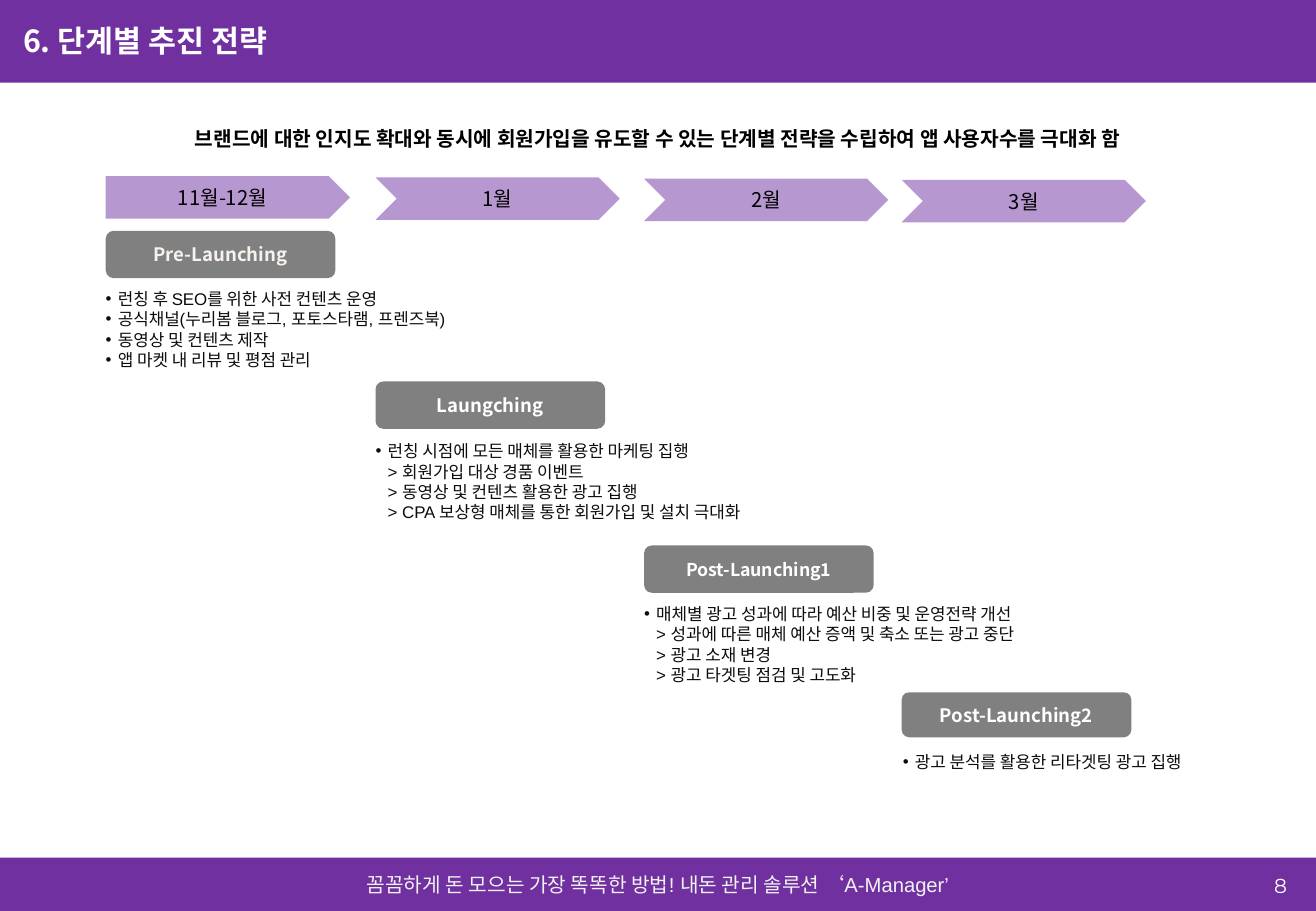
from lxml import etree
from pptx import Presentation
from pptx.dml.color import RGBColor
from pptx.enum.shapes import MSO_SHAPE
from pptx.enum.text import MSO_ANCHOR, MSO_AUTO_SIZE, PP_ALIGN
from pptx.oxml.ns import qn
from pptx.util import Inches, Pt

RECTANGLE = MSO_SHAPE.RECTANGLE
ROUNDED = MSO_SHAPE.ROUNDED_RECTANGLE
PENTAGON = MSO_SHAPE.PENTAGON
CHEVRON = MSO_SHAPE.CHEVRON
TOP, MIDDLE = MSO_ANCHOR.TOP, MSO_ANCHOR.MIDDLE
LEFT, CENTER, RIGHT = PP_ALIGN.LEFT, PP_ALIGN.CENTER, PP_ALIGN.RIGHT

PURPLE = RGBColor(0x70, 0x30, 0xA0)
GRAY = RGBColor(0x80, 0x80, 0x80)
WHITE = RGBColor(0xFF, 0xFF, 0xFF)
CREAM = RGBColor(0xF7, 0xF2, 0xED)
PALE = RGBColor(0xF2, 0xF2, 0xF2)
BLACK = RGBColor(0x00, 0x00, 0x00)
INK = RGBColor(0x0D, 0x0D, 0x0D)

KOREAN = "Noto Sans CJK KR"
ARIAL = "Arial"
NUMBER = "Montserrat"

WIDTH, HEIGHT = 10.83, 7.5
COMPARISON_LAYOUT = 4

# Month, label, label size, label colour, left, label top, label height
STAGES = [
    ("11월-12월", "Pre-Launching", 11, CREAM, 0.87, 1.9, 0.39),
    ("1월", "Laungching", 11, WHITE, 3.09, 3.14, 0.39),
    ("2월", "Post-Launching1", 10.5, WHITE, 5.3, 4.49, 0.39),
    ("3월", "Post-Launching2", 11, WHITE, 7.42, 5.7, 0.37),
]

# Position, anchor, bullets; each bullet is a list of lines
NOTES = [
    ((0.87, 2.34, 3.31, 0.74), MIDDLE, [
        ["런칭 후 SEO를 위한 사전 컨텐츠 운영"],
        ["공식채널(누리봄 블로그, 포토스타램, 프렌즈북)"],
        ["동영상 및 컨텐츠 제작"],
        ["앱 마켓 내 리뷰 및 평점 관리"],
    ]),
    ((3.09, 3.63, 3.52, 0.7), TOP, [
        ["런칭 시점에 모든 매체를 활용한 마케팅 집행",
         "> 회원가입 대상 경품 이벤트",
         "> 동영상 및 컨텐츠 활용한 광고 집행",
         "> CPA 보상형 매체를 통한 회원가입 및 설치 극대화"],
    ]),
    ((5.3, 4.97, 3.62, 0.84), TOP, [
        ["매체별 광고 성과에 따라 예산 비중 및 운영전략 개선",
         "> 성과에 따른 매체 예산 증액 및 축소 또는 광고 중단",
         "> 광고 소재 변경",
         "> 광고 타겟팅 점검 및 고도화"],
    ]),
    ((7.43, 6.19, 2.77, 0.34), TOP, [
        ["광고 분석를 활용한 리타겟팅 광고 집행"],
    ]),
]


class SlideBuilder:
    def __init__(self, slide):
        self.slide = slide

    def place(self, shape, box):
        shape.left, shape.top, shape.width, shape.height = map(Inches, box)

    def set_frame(self, shape, anchor, margins=None, wrap=True):
        frame = shape.text_frame
        frame.auto_size = MSO_AUTO_SIZE.NONE
        frame.word_wrap = wrap
        frame.vertical_anchor = anchor
        if margins:
            (frame.margin_left, frame.margin_top,
             frame.margin_right, frame.margin_bottom) = map(Inches, margins)
        return frame

    def style(self, paragraph, size, color, name=KOREAN, bold=False, align=LEFT):
        paragraph.alignment = align
        paragraph.space_before = Pt(0)
        font = paragraph.font
        font.size, font.bold, font.name = Pt(size), bold, name
        font.color.rgb = color
        properties = paragraph._p.pPr.find(qn("a:defRPr"))
        etree.SubElement(properties, qn("a:ea"), typeface=KOREAN)

    def title(self, text, box):
        shape = self.slide.shapes.title
        self.place(shape, box)
        paragraph = self.set_frame(shape, MIDDLE).paragraphs[0]
        paragraph.text = text
        self.style(paragraph, 18, WHITE, bold=True)

    def text(self, text, box, anchor, size, color, **style):
        shape = self.slide.shapes.add_textbox(*map(Inches, box))
        paragraph = self.set_frame(shape, anchor).paragraphs[0]
        paragraph.text = text
        self.style(paragraph, size, color, **style)

    def block(self, kind, box, fill, alpha=None):
        shape = self.slide.shapes.add_shape(kind, *map(Inches, box))
        shape.shadow.inherit = False
        shape.line.fill.background()
        shape.fill.solid()
        shape.fill.fore_color.rgb = fill
        if alpha is not None:
            color = shape._element.spPr.find(".//" + qn("a:srgbClr"))
            etree.SubElement(color, qn("a:alpha"), val=str(alpha * 1000))
        return shape

    def band(self, box):
        """Add a full-width bar behind everything else."""
        shape = self.block(RECTANGLE, box, PURPLE)
        self.slide.shapes._spTree.insert(2, shape._element)
        return shape

    def label(self, shape, text, size, color, margins=None, wrap=True, **style):
        paragraph = self.set_frame(shape, MIDDLE, margins, wrap).paragraphs[0]
        paragraph.text = text
        self.style(paragraph, size, color, align=CENTER, **style)

    def notes(self, index, box, anchor, bullets):
        """Fill a body placeholder; extra lines of a bullet follow line breaks."""
        shape = self.slide.placeholders[index]
        self.place(shape, box)
        frame = self.set_frame(shape, anchor, (0, 0, 0, 0))
        for number, lines in enumerate(bullets):
            paragraph = frame.add_paragraph() if number else frame.paragraphs[0]
            paragraph.text = "\v".join(lines)
            paragraph.space_before = Pt(0)
            properties = paragraph._p.get_or_add_pPr()
            properties.set("marL", str(Inches(0.1)))
            properties.set("indent", str(Inches(-0.1)))
            etree.SubElement(properties, qn("a:buFont"), typeface=ARIAL)
            etree.SubElement(properties, qn("a:buChar"), char="•")
            self.style(paragraph, 10, INK, name=ARIAL)
            if len(lines) > 1:
                paragraph.runs[0].font.name = KOREAN


def main():
    presentation = Presentation()
    presentation.slide_width = Inches(WIDTH)
    presentation.slide_height = Inches(HEIGHT)
    layout = presentation.slide_layouts[COMPARISON_LAYOUT]
    builder = SlideBuilder(presentation.slides.add_slide(layout))

    builder.band((0, 0, WIDTH, 0.68))
    footer = builder.band((0, 7.06, WIDTH, 0.45))
    builder.label(footer, "꼼꼼하게 돈 모으는 가장 똑똑한 방법! 내돈 관리 솔루션 ‘A-Manager’",
                  12, PALE, margins=(0, 0.05, 0, 0.05), wrap=False, name=ARIAL)
    builder.text("8", (8.25, 7.09, 2.44, 0.4), MIDDLE, 12, WHITE,
                 name=NUMBER, align=RIGHT)
    builder.title("6. 단계별 추진 전략", (0.09, 0.11, 9.75, 0.45))
    builder.text("브랜드에 대한 인지도 확대와 동시에 회원가입을 유도할 수 있는 "
                 "단계별 전략을 수립하여 앱 사용자수를 극대화 함",
                 (0.67, 0.99, 9.49, 0.3), TOP, 12, BLACK, bold=True, align=CENTER)

    for index, (month, name, size, color, left, top, height) in enumerate(STAGES):
        kind = CHEVRON if index else PENTAGON
        arrow = builder.block(kind, (left, 1.45 + 0.01 * index, 2.01, 0.35),
                              PURPLE, alpha=50)
        builder.label(arrow, month, 12, BLACK)
        stage = builder.block(ROUNDED, (left, top, 1.89, height), GRAY)
        builder.label(stage, name, size, color, margins=(0, 0, 0, 0), bold=True)

    for index, (box, anchor, bullets) in enumerate(NOTES, start=1):
        builder.notes(index, box, anchor, bullets)

    presentation.save("out.pptx")


if __name__ == "__main__":
    main()
